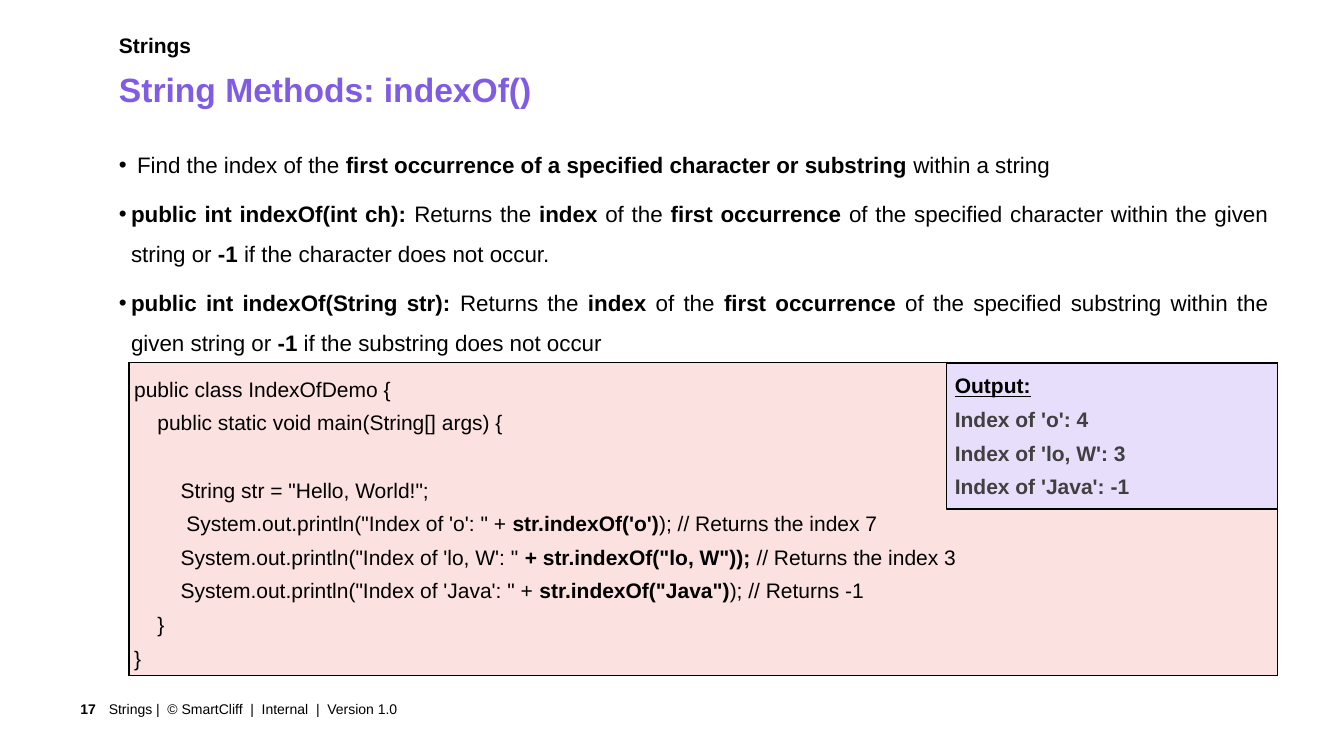
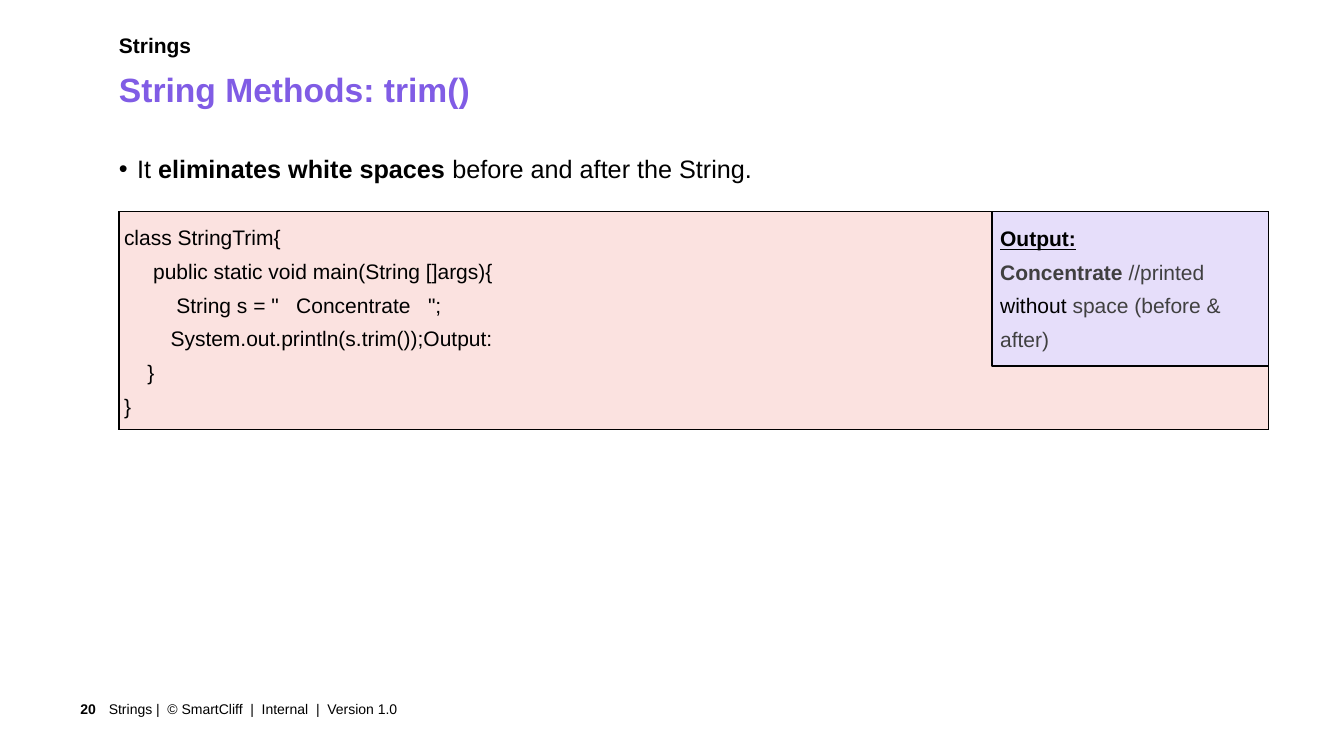
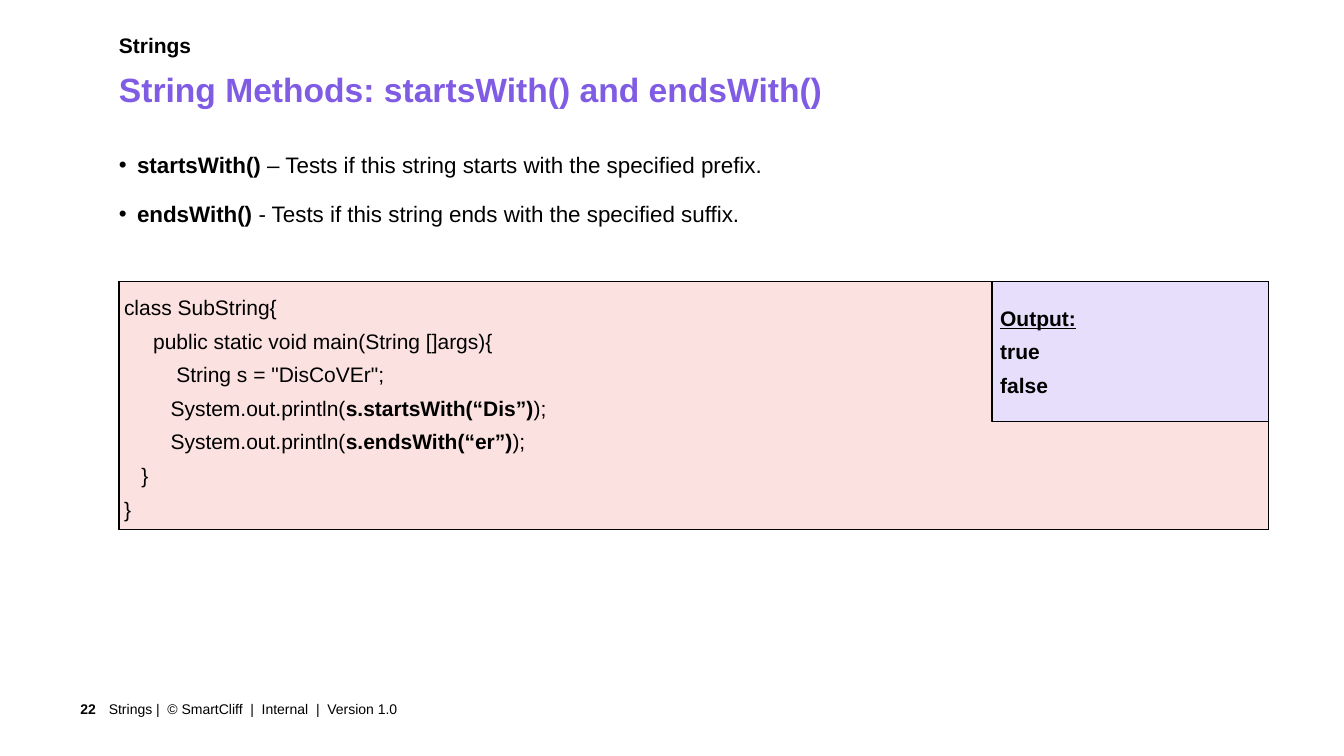
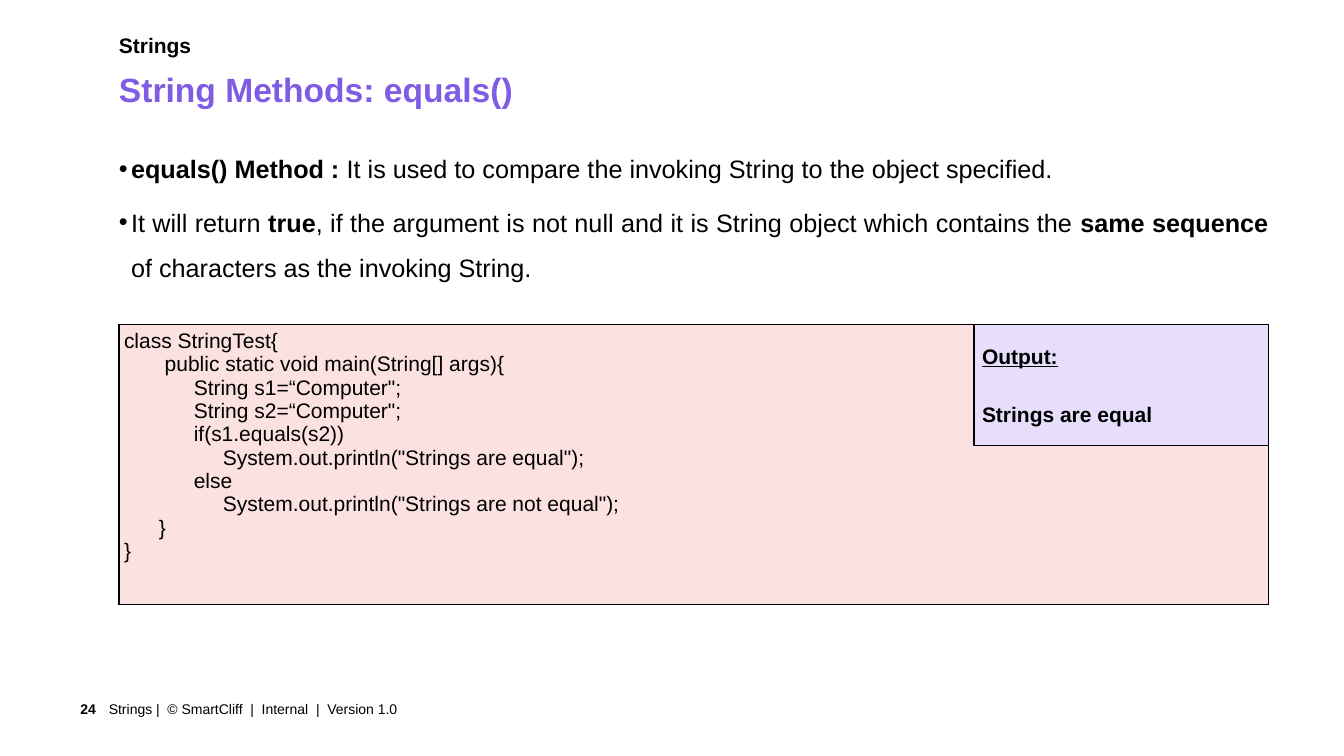
from lxml.etree import SubElement
from pptx import Presentation
from pptx.dml.color import RGBColor
from pptx.enum.shapes import MSO_SHAPE
from pptx.enum.text import MSO_ANCHOR as ANCHOR, MSO_AUTO_SIZE as AUTO_SIZE, PP_ALIGN as ALIGN
from pptx.oxml.ns import qn
from pptx.util import Inches, Pt

FONT = "Arial"
COLORS = {
    "text": "000000", "gray": "404040", "title": "805CE5",
    "code": "FBE2E0", "output": "E6DEFA", "line": "000000",
}
FOOTER = "Strings |  © SmartCliff  |  Internal  |  Version 1.0"
LINE = Pt(24)
LEFT, WIDTH = 1.18, 11.4
WIDE, TIGHT = 0.18, 0.12  # hanging indents of the bullets


def rgb(name):
    return RGBColor.from_string(COLORS[name])


def write(tf, lines, size, color="text", gap=0, **formats):
    """Fill tf; ** toggles bold, § toggles gray, an empty line becomes a gap."""
    before, first = 0, True
    for line in lines:
        if not line:
            before = gap
            continue
        p = tf.paragraphs[0] if first else tf.add_paragraph()
        for name, value in formats.items():
            setattr(p, name, value)
        if first:
            p.space_before = Pt(0)
        elif before:
            p.space_before = before
        before, first, gray = 0, False, False
        for i, part in enumerate(line.split("**")):
            for j, piece in enumerate(part.split("§")):
                gray = gray != (j > 0)
                if piece:
                    r = p.add_run()
                    r.text = piece
                    r.font.name, r.font.size = FONT, Pt(size)
                    r.font.bold = i % 2 == 1
                    r.font.color.rgb = rgb("gray" if gray else color)


# The output box sits in the top right corner of the code: output_size is its width and height
slides = [
    {
        "number": "17", "title": "String Methods: indexOf()", "size": 16,
        "bullets": [
            (WIDE, "Find the index of the **first occurrence of a specified character or substring **within a string"),
            (TIGHT, "**public int indexOf(int ch): **Returns the **index** of the **first occurrence **of the "
                    "specified character within the given string or **-1 **if the character does not occur."),
            (TIGHT, "**public int indexOf(String str): **Returns the **index** of the **first occurrence **of the "
                    "specified substring within the given string or **-1 **if the substring does not occur"),
        ],
        "code_at": (1.28, 3.6, 11.39, 3.1), "spacing": LINE,
        "code": """\
public class IndexOfDemo {
    public static void main(String[] args) {

        String str = "Hello, World!";
         System.out.println("Index of 'o': " + **str.indexOf('o')**); // Returns the index 7
        System.out.println("Index of 'lo, W': " **+ str.indexOf("lo, W")); **// Returns the index 3
        System.out.println("Index of 'Java': " + **str.indexOf("Java")**); // Returns -1
    }
}""",
        "output_size": (3.28, 1.45),
        "output": ["**§Index of 'o': 4**", "**§Index of 'lo, W': 3**", "**§Index of 'Java': -1**"],
    },
    {
        "number": "20", "title": "String Methods: trim()", "size": 18,
        "bullets": [(WIDE, "It **eliminates white spaces **before and after the String.")],
        "code_at": (LEFT, 2.1, WIDTH, 2.16), "spacing": LINE,
        "code": """\
class StringTrim{
     public static void main(String []args){
         String s = "   Concentrate   ";
        System.out.println(s.trim());Output:
    }
}""",
        "output_size": (2.74, 1.53),
        "output": ["**§Concentrate **//printed §without§ space (before & after)"],
    },
    {
        "number": "22", "title": "String Methods: startsWith() and endsWith()", "size": 16,
        "bullets": [
            (WIDE, "**startsWith() **– Tests if this string starts with the specified prefix."),
            (WIDE, "**endsWith() **- Tests if this string ends with the specified suffix."),
        ],
        "code_at": (LEFT, 2.79, WIDTH, 2.46), "spacing": LINE,
        "code": """\
class SubString{
     public static void main(String []args){
         String s = "DisCoVEr";
        System.out.println(**s.startsWith(“Dis”)**);
        System.out.println(**s.endsWith(“er”)**);
   }
}""",
        "output_size": (2.74, 1.39),
        "output": ["**true**", "**false**"],
    },
    {
        "number": "24", "title": "String Methods: equals()", "size": 18,
        "bullets": [
            (TIGHT, "**equals() Method : **It is used to compare the invoking String to the object specified."),
            (TIGHT, "It will return **true**, if the argument is not null and it is String object which contains "
                    "the **same sequence **of characters as the invoking String."),
        ],
        "code_at": (LEFT, 3.22, WIDTH, 2.78), "spacing": 1.0,
        "code": """\
class StringTest{
       public static void main(String[] args){
            String s1=“Computer";
            String s2=“Computer";
            if(s1.equals(s2))
                 System.out.println("Strings are equal");
            else
                 System.out.println("Strings are not equal");
      }
}""",
        "output_size": (2.92, 1.2),
        "output": ["", "**Strings are equal**"],
    },
]

prs = Presentation()
prs.slide_width, prs.slide_height = Inches(13.33), Inches(7.5)

for data in slides:
    s = prs.slides.add_slide(prs.slide_layouts[5])

    # Title
    title = s.shapes.title
    title.left, title.top, title.width, title.height = map(Inches, (1.08, 0.63, 11.94, 0.42))
    tf = title.text_frame
    tf.word_wrap, tf.auto_size, tf.vertical_anchor = True, AUTO_SIZE.NONE, ANCHOR.TOP
    write(tf, [f"**{data['title']}**"], 24, "title", alignment=ALIGN.LEFT)

    # Section name, bullets and footer: place, insets, anchor, lines, size, paragraph formats
    indents, bullets = zip(*data["bullets"])
    boxes = [
        ((LEFT, 0.32, 11.94, 0.41), (0, 0, 0, 0), ANCHOR.TOP, ["**Strings**"], 15, {}),
        ((0.42, 6.88, 0.65, 0.31), (0.1, 0.05, 0.12, 0.05), ANCHOR.MIDDLE,
         [f"**{data['number']}**"], 10, {"alignment": ALIGN.RIGHT}),
        ((1.08, 6.88, 9.36, 0.31), (0, 0.05, 0.1, 0.05), ANCHOR.MIDDLE, [FOOTER], 10, {}),
        ((LEFT, 1.37, WIDTH, 5.51), (0, 0, 0, 0), ANCHOR.TOP, bullets, data["size"],
         {"alignment": ALIGN.JUSTIFY, "line_spacing": 1.5, "space_before": Pt(6)}),
    ]
    for place, insets, anchor, lines, size, formats in boxes:
        tf = s.shapes.add_textbox(*map(Inches, place)).text_frame
        tf.word_wrap, tf.vertical_anchor = True, anchor
        tf.margin_left, tf.margin_top, tf.margin_right, tf.margin_bottom = map(Inches, insets)
        write(tf, lines, size, **formats)
    for p, indent in zip(tf.paragraphs, indents):
        pPr = p._p.get_or_add_pPr()
        pPr.set("marL", str(Inches(indent)))
        pPr.set("indent", str(-Inches(indent)))
        SubElement(pPr, qn("a:buFont"), typeface=FONT)
        SubElement(pPr, qn("a:buChar"), char="•")

    # Code
    left, top, width, height = map(Inches, data["code_at"])
    table = s.shapes.add_table(1, 1, left, top, width, height).table
    table.first_row = table.horz_banding = False
    cell = table.cell(0, 0)
    cell.margin_left = cell.margin_top = cell.margin_right = cell.margin_bottom = Inches(0.05)
    tcPr = cell._tc.get_or_add_tcPr()
    for side in ("a:lnL", "a:lnR", "a:lnT", "a:lnB"):
        ln = SubElement(tcPr, qn(side), w=str(Pt(1)))
        SubElement(SubElement(ln, qn("a:solidFill")), qn("a:srgbClr"), val=COLORS["line"])
    cell.fill.solid()
    cell.fill.fore_color.rgb = rgb("code")
    write(cell.text_frame, data["code"].split("\n"), 15, gap=LINE, line_spacing=data["spacing"])

    # Output
    output_width, output_height = map(Inches, data["output_size"])
    output = s.shapes.add_shape(MSO_SHAPE.RECTANGLE, left + width - output_width, top,
                                output_width, output_height)
    output.shadow.inherit = False
    output.fill.solid()
    output.fill.fore_color.rgb = rgb("output")
    output.line.color.rgb = rgb("line")
    output.line.width = Pt(1)
    tf = output.text_frame
    tf.word_wrap, tf.vertical_anchor = True, ANCHOR.MIDDLE
    tf.margin_left = tf.margin_top = tf.margin_right = tf.margin_bottom = Inches(0.08)
    write(tf, ["**Output:**"] + data["output"], 15, gap=Pt(18), alignment=ALIGN.LEFT, line_spacing=LINE)
    heading = tf.paragraphs[0]
    heading.line_spacing = 1.0
    heading.runs[0].font.underline = True

prs.save("out.pptx")
